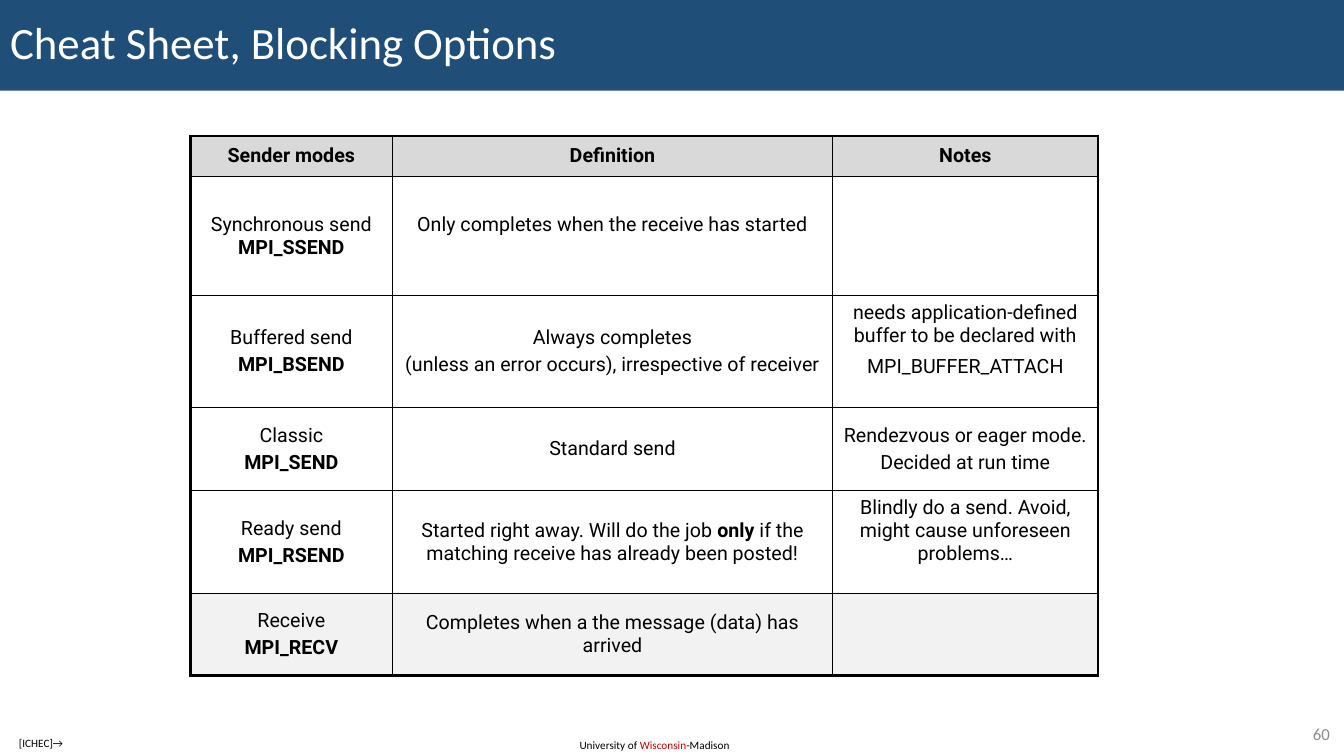
from lxml.etree import SubElement
from pptx import Presentation
from pptx.dml.color import RGBColor
from pptx.enum.text import MSO_ANCHOR as Anchor, MSO_AUTO_SIZE as AutoSize, PP_ALIGN as Align
from pptx.oxml import parse_xml
from pptx.oxml.ns import nsdecls, qn
from pptx.util import Inches, Pt

NAVY = RGBColor(0x1F, 0x4E, 0x79)
WHITE = RGBColor(0xFF, 0xFF, 0xFF)
BLACK = RGBColor(0, 0, 0)
RED = RGBColor(0xC0, 0, 0)
GREY = RGBColor(0x8C, 0x8C, 0x8C)
HEADER_FILL = RGBColor(0xD9, 0xD9, 0xD9)
RECEIVE_FILL = RGBColor(0xF2, 0xF2, 0xF2)

WIDTH, HEIGHT = 13.33, 7.5
COLUMNS = (2, 4.37, 2.63)
ROWS = (0.4, 1.18, 1.11, 0.83, 1.02, 0.81)
THIN, THICK = 1, 2.25
RAISE = 0.28  # bottom inset of cells whose text sits above the middle

# Each cell lists its paragraphs; words between asterisks are emphasised.
MODES = [
    [["*Sender modes*"], ["*Definition*"], ["*Notes*"]],
    [["Synchronous send *MPI_SSEND*"],
     ["Only completes when the receive has started"],
     []],
    [["Buffered send", "*MPI_BSEND*"],
     ["Always completes", "(unless an error occurs), irrespective of receiver"],
     ["needs application-defined buffer to be declared with", "MPI_BUFFER_ATTACH"]],
    [["Classic", "*MPI_SEND*"],
     ["Standard send"],
     ["Rendezvous or eager mode.", "Decided at run time"]],
    [["Ready send", "*MPI_RSEND*"],
     ["Started right away. Will do the job *only *if the matching receive "
      "has already been posted!"],
     ["Blindly do a send. Avoid, might cause unforeseen problems…"]],
    [["Receive", "*MPI_RECV*"],
     ["Completes when a the message (data) has arrived"],
     []],
]
RAISED = {(1, 1), (2, 2), (4, 2)}
WIDE_GAP = {(2, 2)}


def write(frame, paragraphs, size, font="Calibri", color=BLACK, align=Align.LEFT,
          gap=0, spacing=None, accent_bold=False, accent_color=None):
    """Fill a text frame; pieces between asterisks take the accent format."""
    for index, text in enumerate(paragraphs):
        paragraph = frame.add_paragraph() if index else frame.paragraphs[0]
        paragraph.alignment = align
        if index:
            paragraph.space_before = Pt(gap)
        if spacing:
            paragraph.line_spacing = spacing
        for number, piece in enumerate(text.split("*")):
            if not piece:
                continue
            accented = number % 2 == 1
            run = paragraph.add_run()
            run.text = piece
            run.font.name = font
            run.font.size = Pt(size)
            run.font.bold = accented and accent_bold
            run.font.color.rgb = accent_color if accented and accent_color else color


def title_bar(slide, text, left, top, width, height):
    bar = slide.shapes.title
    bar.left, bar.top, bar.width, bar.height = map(Inches, (left, top, width, height))
    bar.fill.solid()
    bar.fill.fore_color.rgb = NAVY
    frame = bar.text_frame
    frame.auto_size = AutoSize.NONE
    frame.vertical_anchor = Anchor.MIDDLE
    write(frame, [text], 32, color=WHITE, spacing=0.9)


def set_borders(cell, **widths):
    """Draw black cell edges; widths in points are keyed L, R, T, B."""
    properties = cell._tc.get_or_add_tcPr()
    for position, side in enumerate("LRTB"):
        line = parse_xml(f'<a:ln{side} {nsdecls("a")} w="{Pt(widths[side])}"/>')
        fill = SubElement(line, qn("a:solidFill"))
        SubElement(fill, qn("a:srgbClr"), val=str(BLACK))
        properties.insert(position, line)


def modes_table(slide, left, top):
    last_row, last_column = len(ROWS) - 1, len(COLUMNS) - 1
    fills = {0: HEADER_FILL, last_row: RECEIVE_FILL}
    box = map(Inches, (left, top, sum(COLUMNS), sum(ROWS)))
    table = slide.shapes.add_table(len(ROWS), len(COLUMNS), *box).table
    table.first_row = table.horz_banding = False
    for column, width in zip(table.columns, COLUMNS):
        column.width = Inches(width)
    for row, height in zip(table.rows, ROWS):
        row.height = Inches(height)

    for r, modes in enumerate(MODES):
        for c, paragraphs in enumerate(modes):
            cell = table.cell(r, c)
            cell.vertical_anchor = Anchor.MIDDLE
            if (r, c) in RAISED:
                cell.margin_bottom = Inches(RAISE)
            if r in fills:
                cell.fill.solid()
                cell.fill.fore_color.rgb = fills[r]
            else:
                cell.fill.background()
            write(cell.text_frame, paragraphs, 14, font="Roboto", align=Align.CENTER,
                  gap=6 if (r, c) in WIDE_GAP else 3, accent_bold=True)
            set_borders(cell,
                        L=THICK if c == 0 else THIN,
                        R=THICK if c == last_column else THIN,
                        T=THICK if r == 0 else THIN,
                        B=THICK if r == last_row else THIN)


def label(slide, text, left, top, width, height, size=8, anchor=Anchor.TOP, **style):
    box = slide.shapes.add_textbox(*map(Inches, (left, top, width, height)))
    frame = box.text_frame
    frame.word_wrap = True
    frame.vertical_anchor = anchor
    write(frame, [text], size, **style)


def footer(slide, top):
    label(slide, "[ICHEC]→", 0.09, top, 0.8, 0.24)
    label(slide, "University of *Wisconsin*-Madison", 5.65, top + 0.02, 1.8, 0.24,
          accent_color=RED)
    label(slide, "60", 12.53, top - 0.13, 0.76, 0.29, size=12, anchor=Anchor.MIDDLE,
          color=GREY, align=Align.RIGHT)


def main():
    deck = Presentation()
    deck.slide_width, deck.slide_height = Inches(WIDTH), Inches(HEIGHT)
    slide = deck.slides.add_slide(deck.slide_layouts[5])
    title_bar(slide, "Cheat Sheet, Blocking Options", 0, 0, WIDTH, 0.12 * HEIGHT)
    modes_table(slide, 1.89, 0.18 * HEIGHT)
    footer(slide, 7.26)
    deck.save("out.pptx")


if __name__ == "__main__":
    main()
